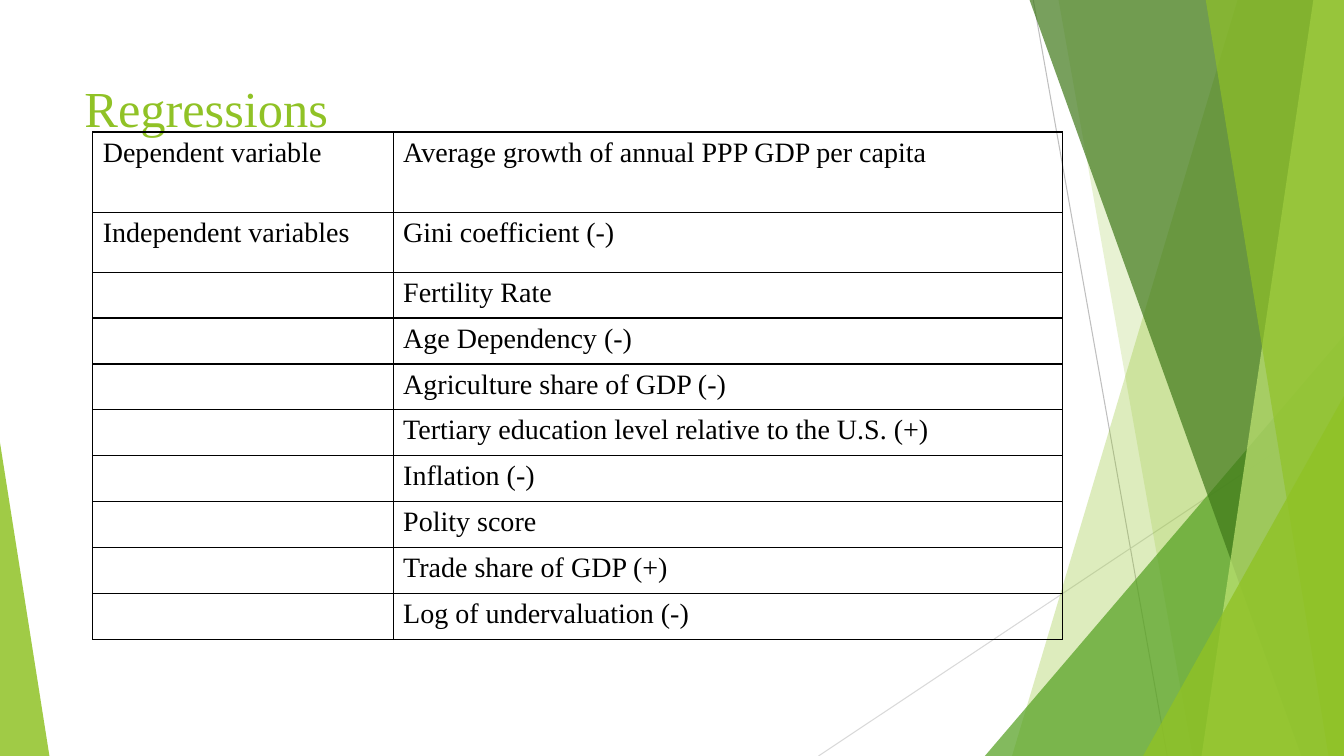
"""Builds the Regressions slide: faceted green backdrop, title and variable table."""
from lxml.etree import SubElement
from pptx import Presentation
from pptx.dml.color import RGBColor
from pptx.enum.shapes import MSO_CONNECTOR as CONN, MSO_SHAPE as SHAPE
from pptx.enum.text import MSO_ANCHOR as ANCHOR
from pptx.oxml.ns import qn
from pptx.util import Inches, Pt

GREEN = RGBColor(0x90, 0xC2, 0x26)
LEAF = RGBColor(0x54, 0xA0, 0x21)
FOREST = RGBColor(0x3F, 0x78, 0x19)
LIME = RGBColor(0xC0, 0xE4, 0x74)
GRAY = RGBColor(0xBF, 0xBF, 0xBF)
PALE_GRAY = RGBColor(0xD9, 0xD9, 0xD9)
BLACK = RGBColor(0, 0, 0)


class Deck:
    """Holds the style and the current slide; lengths are percent of the slide."""

    font = "Times New Roman"
    title_size = Pt(36)
    body_size = Pt(20)
    bleed = -0.13

    def __init__(self):
        self.prs = Presentation()
        self.prs.slide_width = Inches(13.33)
        self.prs.slide_height = Inches(7.5)
        self.s = self.prs.slides.add_slide(self.prs.slide_layouts[6])

    def x(self, share):
        return round(self.prs.slide_width * share / 100)

    def y(self, share):
        return round(self.prs.slide_height * share / 100)

    def box(self, left, top, width, height):
        return self.x(left), self.y(top), self.x(width), self.y(height)

    def style(self, p, size, color):
        p.font.name = self.font
        p.font.size = size
        p.font.color.rgb = color

    def paint(self, sp, color, opacity):
        sp.shadow.inherit = False
        sp.line.fill.background()
        sp.fill.solid()
        sp.fill.fore_color.rgb = color
        clr = sp.fill._xPr.find(qn("a:solidFill"))[0]
        SubElement(clr, qn("a:alpha"), val=str(opacity * 1000))

    def line(self, x1, y1, x2, y2, color):
        cn = self.s.shapes.add_connector(
            CONN.STRAIGHT, self.x(x1), self.y(y1), self.x(x2), self.y(y2))
        cn.line.color.rgb = color
        cn.line.width = Pt(0.75)
        SubElement(cn._element.spPr, qn("a:effectLst"))

    def facet(self, top_x, bottom_x, color, opacity):
        fb = self.s.shapes.build_freeform(self.x(top_x), self.y(self.bleed))
        corners = [(100, self.bleed), (100, 100), (bottom_x, 100)]
        fb.add_line_segments([(self.x(x), self.y(y)) for x, y in corners], close=True)
        self.paint(fb.convert_to_shape(), color, opacity)

    def triangle(self, left, top, width, apex, color, opacity):
        sp = self.s.shapes.add_shape(
            SHAPE.ISOSCELES_TRIANGLE, *self.box(left, top, width, 100 - top))
        sp.adjustments[0] = apex
        self.paint(sp, color, opacity)

    def title(self, text, left, top, width, height):
        tf = self.s.shapes.add_textbox(*self.box(left, top, width, height)).text_frame
        tf.word_wrap = True
        tf.vertical_anchor = ANCHOR.TOP
        tf.margin_top = Inches(0.1)
        p = tf.paragraphs[0]
        p.text = text
        self.style(p, self.title_size, GREEN)

    def cell(self, cell, text):
        p = cell.text_frame.paragraphs[0]
        p.text = text
        self.style(p, self.body_size, BLACK)
        tc_pr = cell._tc.get_or_add_tcPr()
        for side in ("lnL", "lnR", "lnT", "lnB"):
            ln = SubElement(tc_pr, qn(f"a:{side}"), w=str(Pt(1)))
            SubElement(SubElement(ln, qn("a:solidFill")), qn("a:srgbClr"), val=str(BLACK))
        cell.fill.background()

    def table(self, rows, left, top, widths, heights):
        frame = self.s.shapes.add_table(
            len(rows), len(widths), *self.box(left, top, sum(widths), sum(heights)))
        tbl = frame.table
        tbl.first_row = tbl.horz_banding = False
        for col, width in zip(tbl.columns, widths):
            col.width = self.x(width)
        for i, (row, height) in enumerate(zip(rows, heights)):
            tbl.rows[i].height = self.y(height)
            for j, text in enumerate(row):
                self.cell(tbl.cell(i, j), text)


def main():
    deck = Deck()
    deck.line(76.88, 0, 86.85, 100, GRAY)
    deck.line(100, 53.73, 60.9, 100, PALE_GRAY)
    deck.facet(92.1, 75.3, GREEN, 30)
    deck.facet(78.75, 88.73, GREEN, 20)
    deck.triangle(73.28, 44.4, 26.72, 1, LEAF, 72)
    deck.facet(76.58, 96.83, FOREST, 70)
    deck.facet(97.73, 89.4, LIME, 70)
    deck.facet(89.7, 98.85, GREEN, 65)
    deck.triangle(85.05, 52.4, 14.95, 1, GREEN, 80)
    deck.triangle(0, 58.53, 3.68, 0, GREEN, 85)
    deck.title("Regressions", 5.55, 8.93, 70.5, 19.2)

    independent = [
        "Gini coefficient (-)",
        "Fertility Rate",
        "Age Dependency (-)",
        "Agriculture share of GDP (-)",
        "Tertiary education level relative to the U.S. (+)",
        "Inflation (-)",
        "Polity score",
        "Trade share of GDP (+)",
        "Log of undervaluation (-)",
    ]
    rows = [("Dependent variable", "Average growth of annual PPP GDP per capita")]
    rows += [("" if i else "Independent variables", name)
             for i, name in enumerate(independent)]
    deck.table(rows, 6.9, 17.47, [22.35, 49.8], [10.67, 7.87] + [6.07] * 8)
    deck.prs.save("out.pptx")


if __name__ == "__main__":
    main()
